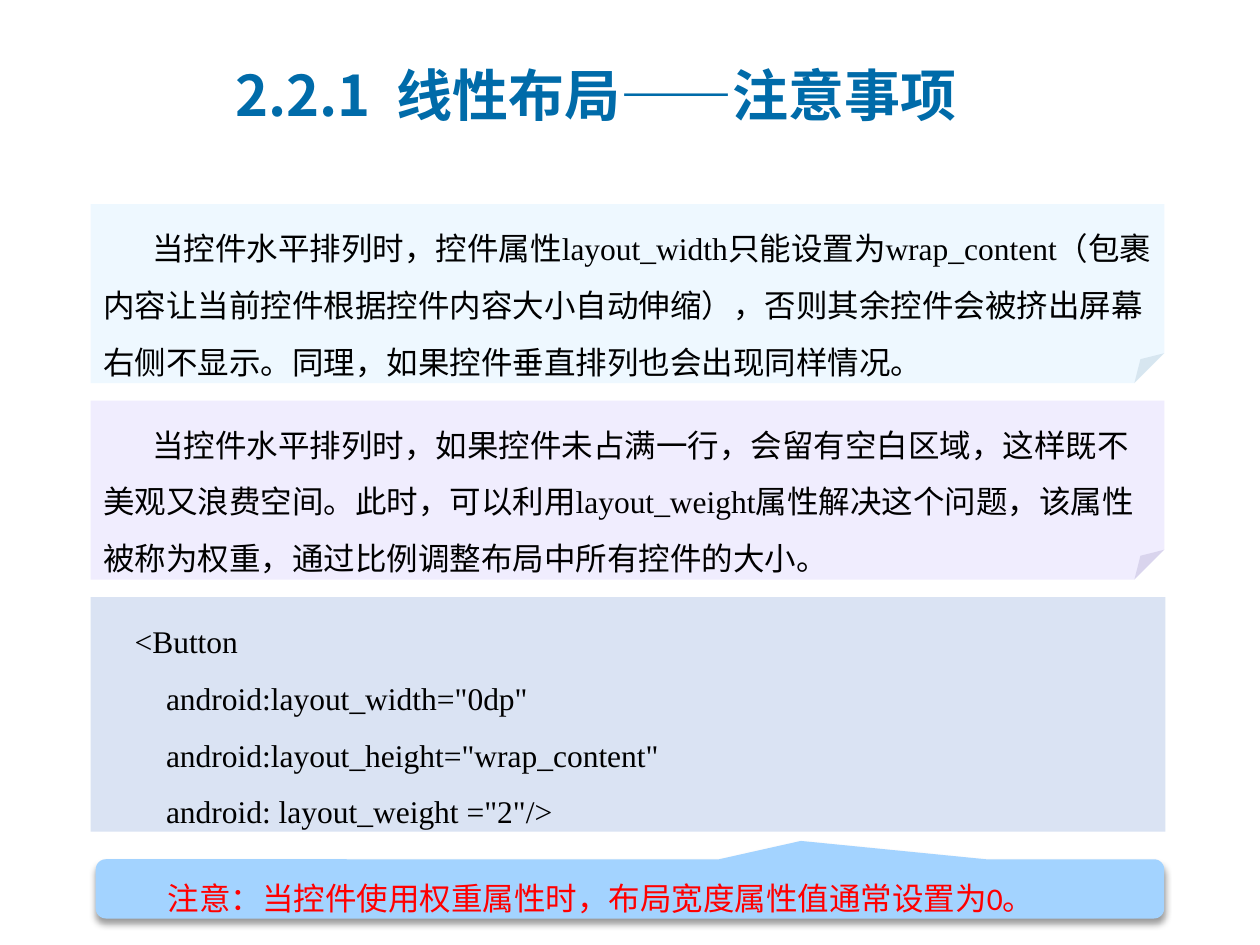
from dataclasses import dataclass

from lxml.etree import SubElement
from pptx import Presentation
from pptx.dml.color import RGBColor
from pptx.enum.shapes import MSO_SHAPE
from pptx.enum.text import MSO_ANCHOR, PP_ALIGN
from pptx.oxml.ns import qn
from pptx.util import Inches, Pt


@dataclass(frozen=True)
class Theme:
    """Colours, fonts and type sizes of the deck."""
    title: str = "006BA9"
    body: str = "000000"
    warning: str = "FF0000"
    width_note: str = "C5E8FF"
    weight_note: str = "D1C7FD"
    code: str = "DAE3F3"
    callout: str = "A3D3FF"
    chinese: str = "Noto Sans CJK SC"
    sans: str = "Calibri"
    serif: str = "Times New Roman"
    title_size: int = 32
    body_size: int = 18


def write_text(shape, text, *, font, size, color, bold=False, spacing=1.0,
               first_indent=0, anchor=MSO_ANCHOR.TOP, chinese=Theme.chinese):
    """Write each line of text as a paragraph with the given format."""
    frame = shape.text_frame
    frame.word_wrap = True
    frame.vertical_anchor = anchor
    for index, line in enumerate(text.split("\n")):
        para = frame.add_paragraph() if index else frame.paragraphs[0]
        para.alignment = PP_ALIGN.LEFT
        para.line_spacing = spacing
        if first_indent:
            para._p.get_or_add_pPr().set("indent", str(Inches(first_indent)))
        span = para.add_run()
        span.text = line
        span.font.name = font
        span.font.size = Pt(size)
        span.font.bold = bold
        span.font.color.rgb = RGBColor.from_string(color)
        SubElement(span._r.get_or_add_rPr(), qn("a:ea"), typeface=chinese)


class SlideBuilder:
    """Holds the theme and the current slide."""

    def __init__(self, page, theme):
        """Keep the page to draw on and its theme."""
        self.page = page
        self.theme = theme

    def title(self, text, left, top, width, height):
        """Add the slide title."""
        box = self.page.shapes.add_textbox(*map(Inches, (left, top, width, height)))
        write_text(box, text, font=self.theme.chinese, size=self.theme.title_size,
                   color=self.theme.title, bold=True, anchor=MSO_ANCHOR.MIDDLE)

    def panel(self, kind, left, top, width, height, fill, opacity=None):
        """Add a filled shape without outline."""
        shape = self.page.shapes.add_shape(kind, *map(Inches, (left, top, width, height)))
        shape.shadow.inherit = False
        shape.line.fill.background()
        shape.fill.solid()
        shape.fill.fore_color.rgb = RGBColor.from_string(fill)
        if opacity is not None:
            color = shape._element.spPr.find(qn("a:solidFill"))[0]
            SubElement(color, qn("a:alpha"), val=str(opacity * 1000))
        return shape

    def note(self, text, top, fill, opacity):
        """Add a folded note with an indented paragraph."""
        shape = self.panel(MSO_SHAPE.FOLDED_CORNER, 0.72, top, 8.52, 1.42, fill, opacity)
        write_text(shape, text, font=self.theme.serif, size=self.theme.body_size,
                   color=self.theme.body, spacing=1.5, first_indent=0.39)

    def code(self, text, left, top, width, height):
        """Add a code block."""
        shape = self.panel(MSO_SHAPE.RECTANGLE, left, top, width, height, self.theme.code)
        write_text(shape, text, font=self.theme.serif, size=self.theme.body_size,
                   color=self.theme.body, spacing=1.5)

    def callout(self, text, left, top, width, height):
        """Add a warning callout that points upwards and casts a shadow."""
        shape = self.panel(MSO_SHAPE.ROUNDED_RECTANGULAR_CALLOUT, left, top, width, height,
                           self.theme.callout)
        shape.adjustments[0] = 0.16
        shape.adjustments[1] = -0.81
        shape.adjustments[2] = 0.17
        effects = shape._element.spPr.find(qn("a:effectLst"))
        shadow = SubElement(effects, qn("a:outerShdw"), blurRad=str(Pt(4)), dist=str(Pt(3)),
                            dir="5400000", algn="t", rotWithShape="0")
        color = SubElement(shadow, qn("a:srgbClr"), val="000000")
        SubElement(color, qn("a:alpha"), val="40000")
        write_text(shape, text, font=self.theme.sans, size=self.theme.body_size,
                   color=self.theme.warning, spacing=1.5, first_indent=0.45,
                   anchor=MSO_ANCHOR.MIDDLE)


NOTES = (
    ("当控件水平排列时，控件属性layout_width只能设置为wrap_content（包裹内容让当前控件根据控件内容大小自动伸缩），"
     "否则其余控件会被挤出屏幕右侧不显示。同理，如果控件垂直排列也会出现同样情况。", Theme.width_note, 28),
    ("当控件水平排列时，如果控件未占满一行，会留有空白区域，这样既不美观又浪费空间。此时，可以利用layout_weight"
     "属性解决这个问题，该属性被称为权重，通过比例调整布局中所有控件的大小。", Theme.weight_note, 31),
)
BUTTON_CODE = """    <Button
        android:layout_width="0dp"
        android:layout_height="wrap_content"
        android: layout_weight ="2"/>"""


def main():
    """Build the slide and save the deck."""
    deck = Presentation()
    deck.slide_width, deck.slide_height = Inches(10), Inches(7.5)
    builder = SlideBuilder(deck.slides.add_slide(deck.slide_layouts[6]), Theme())
    for index, (text, fill, opacity) in enumerate(NOTES):
        builder.note(text, 1.62 + index * 1.56, fill, opacity)
    builder.code(BUTTON_CODE, 0.72, 4.74, 8.53, 1.86)
    builder.callout("注意：当控件使用权重属性时，布局宽度属性值通常设置为0。", 0.76, 6.82, 8.48, 0.47)
    builder.title("2.2.1  线性布局——注意事项", 1.77, 0.44, 6.54, 0.61)
    deck.save("out.pptx")


if __name__ == "__main__":
    main()
